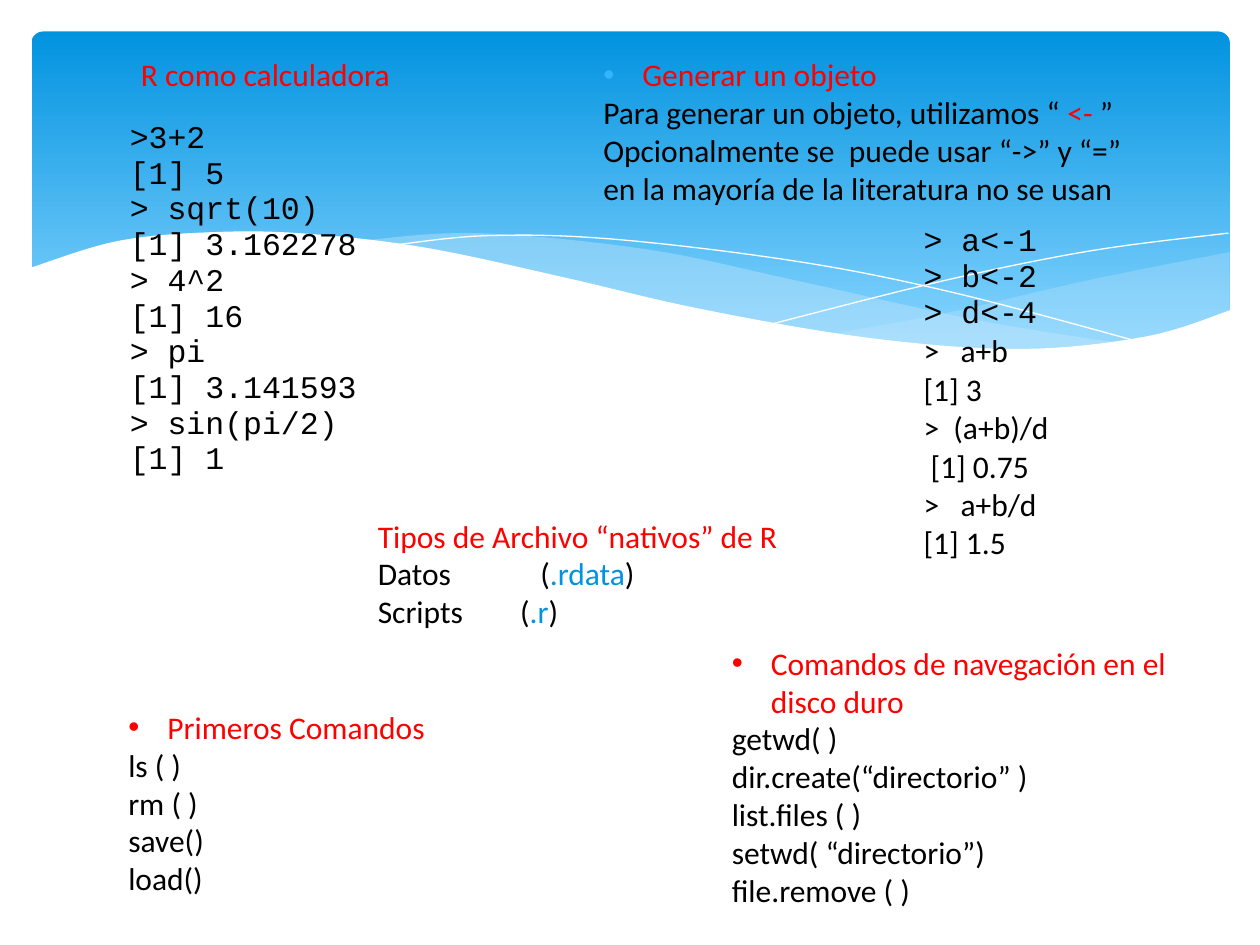
"""Build a slide that summarises first steps in R over a blue wave banner."""
from lxml.etree import SubElement
from pptx import Presentation
from pptx.dml.color import RGBColor
from pptx.enum.shapes import MSO_SHAPE
from pptx.enum.text import MSO_AUTO_SIZE
from pptx.oxml.ns import qn
from pptx.util import Inches, Pt

COLORS = {"deep": "0293E0", "light": "83D3FE", "pale": "C6E7FC", "white": "FFFFFF",
          "black": "000000", "red": "FF0000", "bullet": "31B6FD"}
NO_TABLE_STYLE = "{2D5ABB26-0587-4C30-8999-92F81FD0307C}"
BULLET_INDENT = 0.31
CURVE_STEPS = 8

WAVES = [
    {"fill": "pale", "alpha": 29, "curves": [
        [(9.76, 2), (8.61, 2.23), (7.53, 2.48), (6.61, 2.65)],
        [(6.61, 2.65), (7.45, 2.75), (8.35, 2.77), (9.13, 2.67), (9.76, 2.47)]]},
    {"fill": "pale", "alpha": 40, "curves": [
        [(8.93, 2.73), (7.75, 2.54), (6.29, 2.22), (5.14, 1.98), (3.8, 1.85), (2.86, 1.91)],
        [(2.86, 1.91), (4.04, 2.11), (5.66, 2.48), (6.95, 2.7), (7.96, 2.78), (8.93, 2.73)]]},
    {"line": "white", "curves": [
        [(3.09, 1.95), (3.87, 1.87), (4.89, 1.9), (6.36, 2.08), (7.6, 2.33), (9.07, 2.72)]]},
    {"line": "white", "curves": [[(6.13, 2.57), (7.48, 2.23), (8.66, 1.99), (9.75, 1.85)]]},
    {"fill": "white", "curves": [
        [(9.77, 2.46), (9.1, 2.67), (8.09, 2.77), (6.88, 2.68), (5.55, 2.45), (4.47, 2.2),
         (3.4, 1.97), (2.5, 1.86), (1.77, 1.84), (0.95, 1.91), (0.23, 2.13)],
        [(0.23, 3.29), (9.77, 3.29)]]},
]

TEXTS = [
    {"box": (4.69, 0.39, 4.53, 1.31), "title": "Generar un objeto", "bullet": "bullet",
     "lines": [[("Para generar un objeto, utilizamos “ ", "black"), ("<- ", "red"), ("”", "black")],
               "Opcionalmente se  puede usar “->” y “=”",
               "en la mayoría de la literatura no se usan"]},
    {"box": (0.92, 5.57, 2.66, 1.62), "title": "Primeros Comandos", "bullet": "red",
     "lines": ["ls ( )", "rm ( )", "save()", "load()"]},
    {"box": (1.02, 0.39, 2.28, 0.4), "title": "R como calculadora", "lines": []},
    {"box": (2.9, 4.05, 3.57, 1.01), "title": "Tipos de Archivo “nativos” de R",
     "tabs": {1: 1.29, 2: 1.13},
     "lines": [[("Datos\t(", "black"), (".rdata", "deep"), (")", "black")],
               [("Scripts\t(", "black"), (".r", "deep"), (")", "black")]]},
    {"box": (5.71, 5.06, 3.7, 2.22), "title": "Comandos de navegación en el disco duro",
     "bullet": "red", "wrap": True,
     "lines": ["getwd( )", "dir.create(“directorio” )", "list.files ( )",
               "setwd( “directorio”)", "file.remove ( )"]},
]

CONSOLES = [
    {"box": (7.28, 1.79, 1.37, 2.77),
     "code": ["> a<-1", "> b<-2", "> d<-4"],
     "results": [">   a+b", "[1] 3", ">  (a+b)/d", " [1] 0.75", ">   a+b/d", "[1] 1.5"]},
    {"box": (0.98, 0.97, 2.48, 3.07),
     "code": [">3+2", "[1] 5", "> sqrt(10)", "[1] 3.162278", "> 4^2", "[1] 16",
              "> pi", "[1] 3.141593", "> sin(pi/2)", "[1] 1"],
     "results": []},
]


def rgb(name):
    return RGBColor.from_string(COLORS[name])


def inches(values):
    return [Inches(value) for value in values]


def add_banner(slide):
    banner = slide.shapes.add_shape(MSO_SHAPE.ROUNDED_RECTANGLE, *inches((0.25, 0.25, 9.51, 2.7)))
    banner.adjustments[0] = 0.034
    banner.shadow.inherit = False
    banner.line.fill.background()
    banner.fill.gradient()
    banner.fill.gradient_angle = 270
    for stop, color, position in zip(banner.fill.gradient_stops, ("deep", "light"), (0, 0.9)):
        stop.color.rgb = rgb(color)
        stop.position = position


def smooth(knots):
    """Return points on a Catmull-Rom curve through the knots."""
    padded = [knots[0], *knots, knots[-1]]
    points = [knots[0]]
    for before, start, end, after in zip(padded, padded[1:], padded[2:], padded[3:]):
        for step in range(1, CURVE_STEPS + 1):
            t = step / CURVE_STEPS
            points.append(tuple(
                b + ((c - a) * t + (2 * a - 5 * b + 4 * c - d) * t ** 2
                     + (3 * b - a - 3 * c + d) * t ** 3) / 2
                for a, b, c, d in zip(before, start, end, after)))
    return points


def add_wave(slide, wave):
    points = [inches(point) for curve in wave["curves"] for point in smooth(curve)]
    builder = slide.shapes.build_freeform(*points[0])
    builder.add_line_segments(points[1:], close="fill" in wave)
    shape = builder.convert_to_shape()
    shape.shadow.inherit = False
    if "line" in wave:
        shape.fill.background()
        shape.line.color.rgb = rgb(wave["line"])
        shape.line.width = Pt(0)
        return
    shape.line.fill.background()
    shape.fill.solid()
    shape.fill.fore_color.rgb = rgb(wave["fill"])
    if "alpha" in wave:
        color = shape._element.spPr.find(f".//{qn('a:srgbClr')}")
        SubElement(color, qn("a:alpha"), val=str(wave["alpha"] * 1000))


def add_paragraphs(text_frame, lines, font="Calibri"):
    """Append one paragraph per list of (text, colour) spans."""
    for spans in lines:
        first = text_frame.paragraphs[0]
        paragraph = text_frame.add_paragraph() if first.runs else first
        for text, color in spans:
            run = paragraph.add_run()
            run.text = text
            run.font.name = font
            run.font.size = Pt(18)
            run.font.color.rgb = rgb(color)


def set_bullet(paragraph, color):
    properties = paragraph._p.get_or_add_pPr()
    properties.set("marL", str(Inches(BULLET_INDENT)))
    properties.set("indent", str(-Inches(BULLET_INDENT)))
    SubElement(SubElement(properties, qn("a:buClr")), qn("a:srgbClr"), val=COLORS[color])
    SubElement(properties, qn("a:buFont"), typeface="Arial")
    SubElement(properties, qn("a:buChar"), char="•")


def set_tab(paragraph, position):
    tabs = SubElement(paragraph._p.get_or_add_pPr(), qn("a:tabLst"))
    SubElement(tabs, qn("a:tab"), pos=str(Inches(position)), algn="l")


def add_text(slide, item):
    text_frame = slide.shapes.add_textbox(*inches(item["box"])).text_frame
    text_frame.word_wrap = item.get("wrap", False)
    text_frame.auto_size = MSO_AUTO_SIZE.SHAPE_TO_FIT_TEXT
    lines = [[(line, "black")] if isinstance(line, str) else line for line in item["lines"]]
    add_paragraphs(text_frame, [[(item["title"], "red")]] + lines)
    if "bullet" in item:
        set_bullet(text_frame.paragraphs[0], item["bullet"])
    for index, position in item.get("tabs", {}).items():
        set_tab(text_frame.paragraphs[index], position)


def add_console(slide, console):
    table = slide.shapes.add_table(1, 1, *inches(console["box"])).table
    table.first_row = table.horz_banding = False
    table._tbl.tblPr.find(qn("a:tableStyleId")).text = NO_TABLE_STYLE
    cell = table.cell(0, 0)
    cell.fill.background()
    cell.margin_left, cell.margin_top, cell.margin_right, cell.margin_bottom = inches((0.05, 0, 0, 0.07))
    for key, font in (("code", "Courier New"), ("results", "Calibri")):
        add_paragraphs(cell.text_frame, [[(line, "black")] for line in console[key]], font)


def main():
    presentation = Presentation()
    presentation.slide_width, presentation.slide_height = inches((10, 7.5))
    slide = presentation.slides.add_slide(presentation.slide_layouts[6])
    add_banner(slide)
    for wave in WAVES:
        add_wave(slide, wave)
    for item in TEXTS:
        add_text(slide, item)
    for console in CONSOLES:
        add_console(slide, console)
    presentation.save("out.pptx")


if __name__ == "__main__":
    main()
